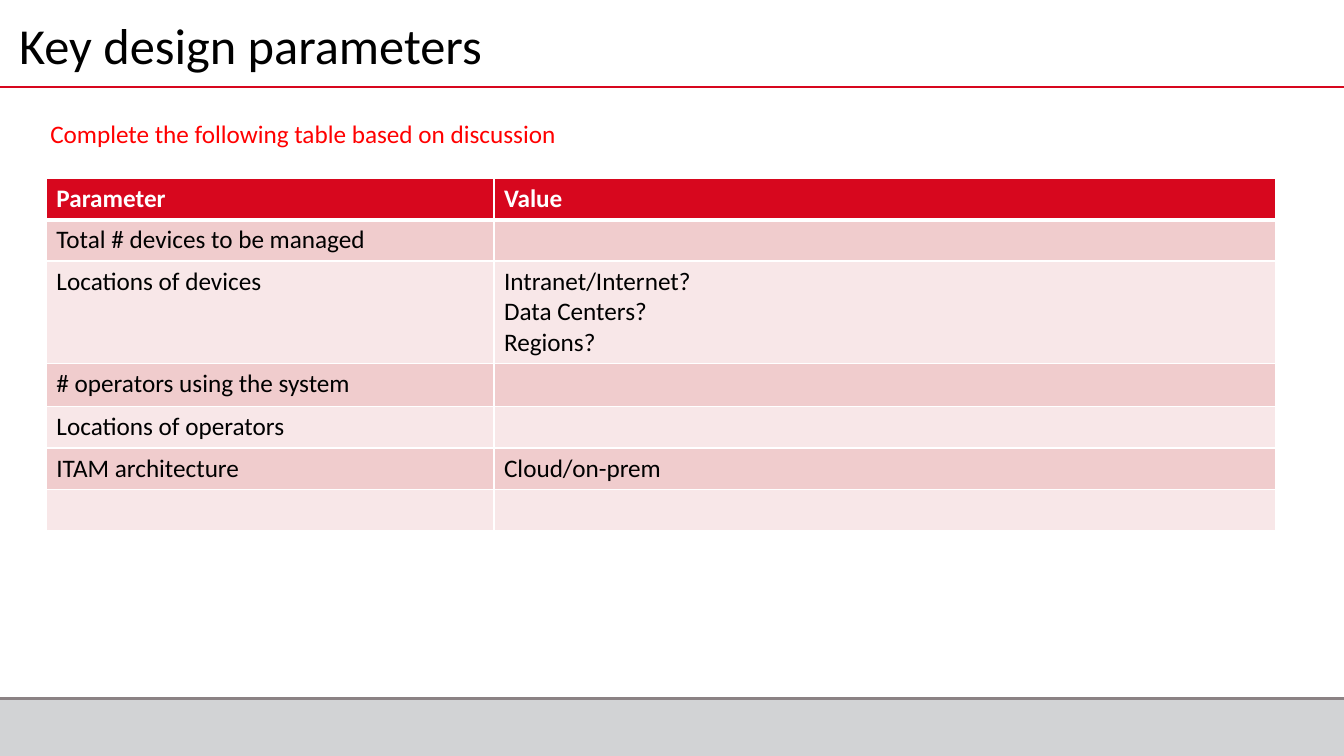
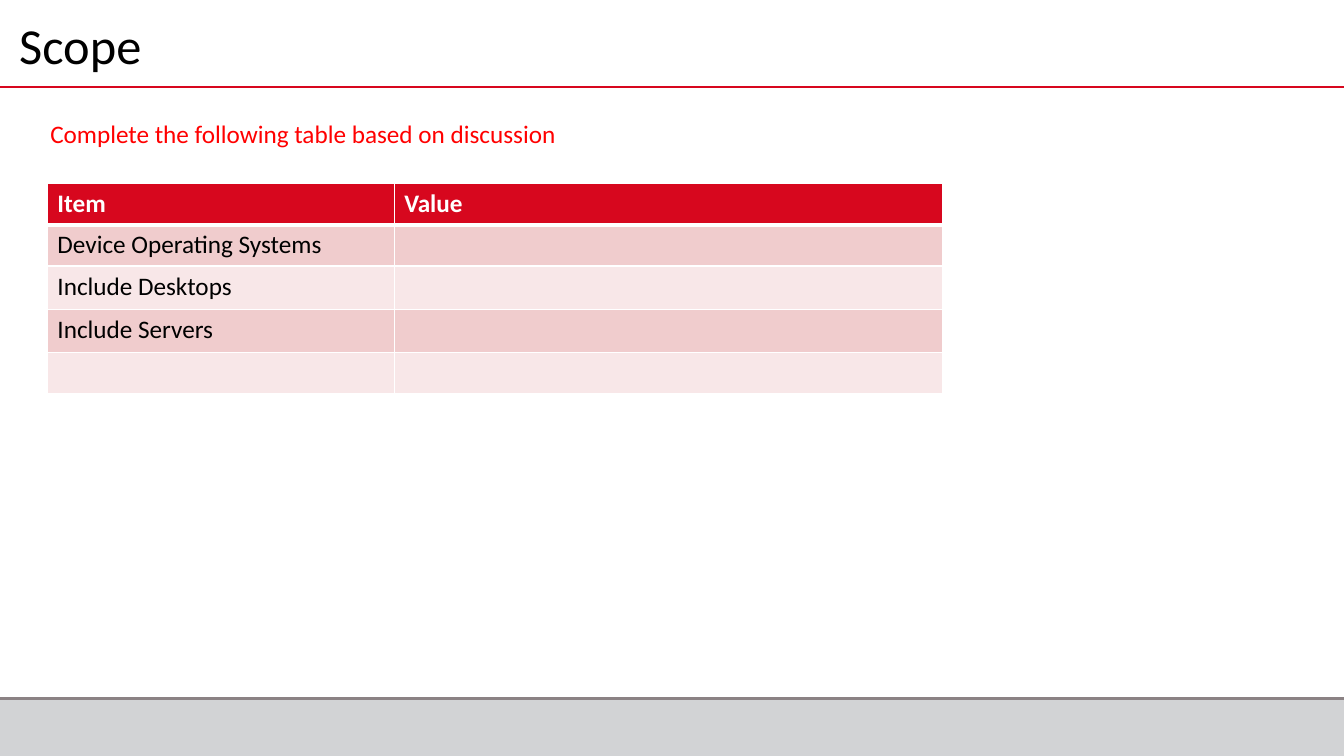
"""Build two workshop slides, each with a table to complete."""
from dataclasses import dataclass

from lxml.etree import SubElement
from pptx import Presentation
from pptx.dml.color import RGBColor as Color
from pptx.enum.shapes import MSO_CONNECTOR as Connector, MSO_SHAPE as Shape
from pptx.enum.text import MSO_ANCHOR as Anchor, MSO_AUTO_SIZE as AutoSize, PP_ALIGN as Align
from pptx.oxml import parse_xml
from pptx.oxml.ns import nsdecls, qn
from pptx.util import Pt

PX = 9144
WIDTH, HEIGHT = 1333, 750
TITLE_ONLY = 5


@dataclass(frozen=True)
class Theme:
    font: str = "Calibri"
    title_size: int = 36
    body_size: int = 18
    rule_width: float = 1.5
    border_width: int = 1
    header_border_width: int = 3
    text: str = "000000"
    white: str = "FFFFFF"
    accent: str = "D7071E"
    prompt: str = "FF0000"
    band: str = "D2D3D5"
    band_rule: str = "8B8284"
    stripes: tuple = ("F0CCCD", "F8E7E8")


class Deck:
    def __init__(self, theme):
        self.theme = theme
        self.deck = Presentation()
        self.deck.slide_width, self.deck.slide_height = WIDTH * PX, HEIGHT * PX
        self.slide = None

    def add_slide(self, title):
        self.slide = self.deck.slides.add_slide(self.deck.slide_layouts[TITLE_ONLY])
        self.footer_band(694, 57)
        self.rule(693, self.theme.band_rule)
        self.rule(86, self.theme.accent)
        self.title(title)

    def style_text(self, frame, size, color, bold=False):
        for para in frame.paragraphs:
            for span in para.runs:
                font = span.font
                font.name, font.size, font.bold = self.theme.font, Pt(size), bold
                font.color.rgb = Color.from_string(color)

    def title(self, text):
        box = self.slide.shapes.title
        box.left, box.top, box.width, box.height = 9 * PX, 12 * PX, 1089 * PX, 72 * PX
        frame = box.text_frame
        frame.text = text
        frame.auto_size = AutoSize.NONE
        frame.vertical_anchor = Anchor.MIDDLE
        frame.paragraphs[0].alignment = Align.LEFT
        frame.paragraphs[0].line_spacing = 0.9
        self.style_text(frame, self.theme.title_size, self.theme.text)

    def footer_band(self, top, height):
        band = self.slide.shapes.add_shape(Shape.RECTANGLE, 0, top * PX, WIDTH * PX, height * PX)
        band.shadow.inherit = False
        color = Color.from_string(self.theme.band)
        band.fill.solid()
        band.fill.fore_color.rgb = color
        band.line.color.rgb = color
        band.line.width = Pt(1)

    def rule(self, top, color):
        line = self.slide.shapes.add_connector(
            Connector.STRAIGHT, 0, top * PX, WIDTH * PX, top * PX)
        line.line.color.rgb = Color.from_string(color)
        line.line.width = Pt(self.theme.rule_width)
        SubElement(line._element.spPr, qn("a:effectLst"))

    def prompt(self, text):
        box = self.slide.shapes.add_textbox(40 * PX, 112 * PX, 528 * PX, 40 * PX)
        frame = box.text_frame
        frame.text = text
        frame.word_wrap = False
        frame.auto_size = AutoSize.SHAPE_TO_FIT_TEXT
        self.style_text(frame, self.theme.body_size, self.theme.prompt)

    def table(self, left, top, columns, heights, rows):
        table = self.slide.shapes.add_table(
            len(rows), len(columns), left * PX, top * PX,
            sum(columns) * PX, sum(heights) * PX).table
        for column, width in zip(table.columns, columns):
            column.width = width * PX
        for index, (row, height, texts) in enumerate(zip(table.rows, heights, rows)):
            row.height = height * PX
            for cell, text in zip(row.cells, texts):
                self.cell(cell, text, index)

    def cell(self, cell, text, row):
        theme = self.theme
        header = row == 0
        cell.text_frame.text = text
        self.style_text(cell.text_frame, theme.body_size,
                        theme.white if header else theme.text, header)
        cell.fill.solid()
        fill = theme.accent if header else theme.stripes[(row - 1) % 2]
        cell.fill.fore_color.rgb = Color.from_string(fill)
        heavy = {0: "lnB", 1: "lnT"}.get(row)
        properties = cell._tc.get_or_add_tcPr()
        for position, side in enumerate(("lnL", "lnR", "lnT", "lnB")):
            width = theme.header_border_width if side == heavy else theme.border_width
            properties.insert(position, parse_xml(
                f'<a:{side} {nsdecls("a")} w="{Pt(width)}"><a:solidFill>'
                f'<a:srgbClr val="{theme.white}"/></a:solidFill></a:{side}>'))


def main():
    deck = Deck(Theme())
    prompt = "Complete the following table based on discussion"

    deck.add_slide("Key design parameters")
    deck.table(46, 177, (444, 775), (41, 41, 101, 43, 41, 41, 41), (
        ("Parameter", "Value"),
        ("Total # devices to be managed", ""),
        ("Locations of devices", "Intranet/Internet?\nData Centers?\nRegions?"),
        ("# operators using the system", ""),
        ("Locations of operators", ""),
        ("ITAM architecture", "Cloud/on-prem"),
        ("", ""),
    ))
    deck.prompt(prompt)

    deck.add_slide("Scope")
    deck.table(47, 182, (344, 544), (41, 41, 43, 43, 41), (
        ("Item", "Value"),
        ("Device Operating Systems", ""),
        ("Include Desktops", ""),
        ("Include Servers", ""),
        ("", ""),
    ))
    deck.prompt(prompt)

    deck.deck.save("out.pptx")


if __name__ == "__main__":
    main()
